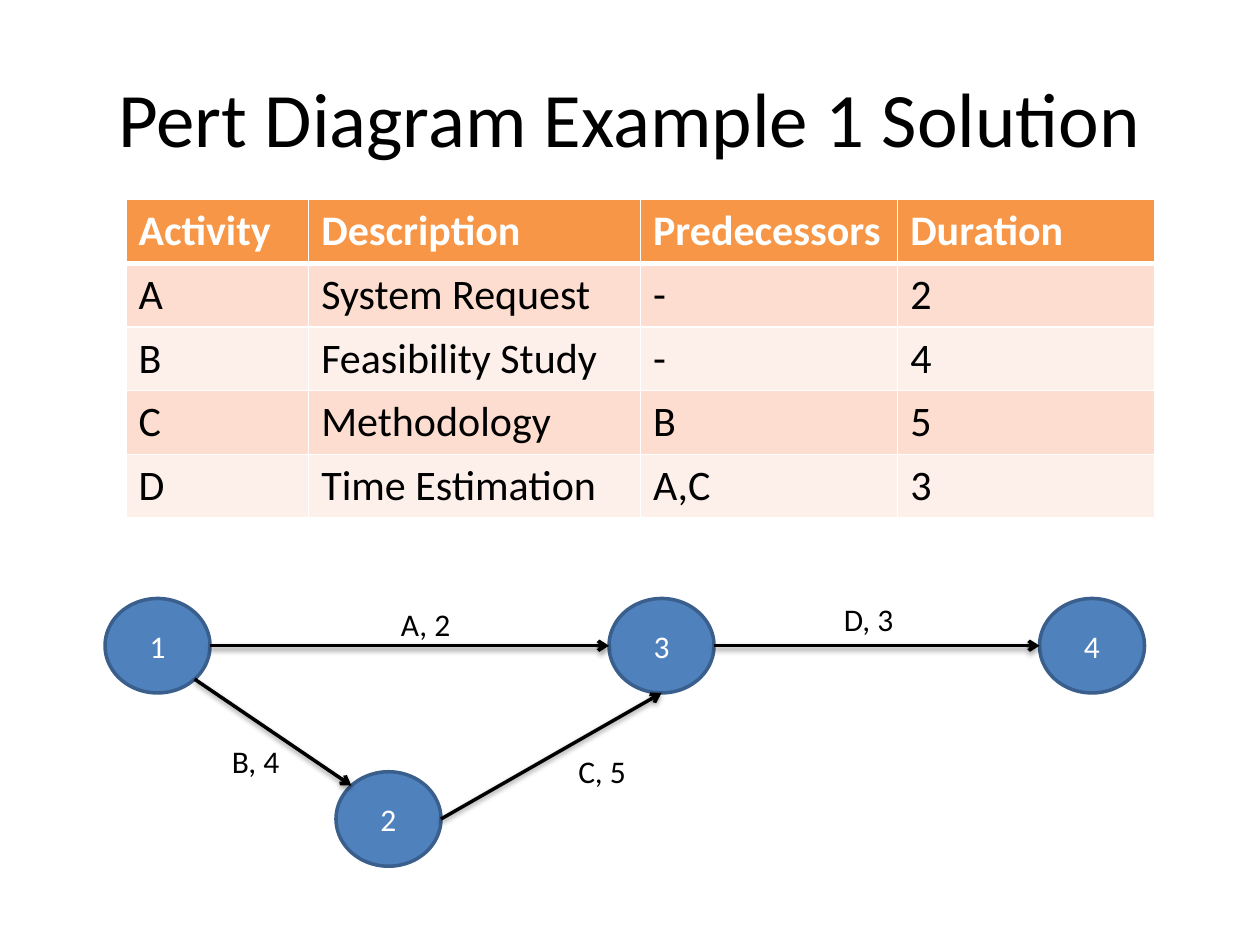
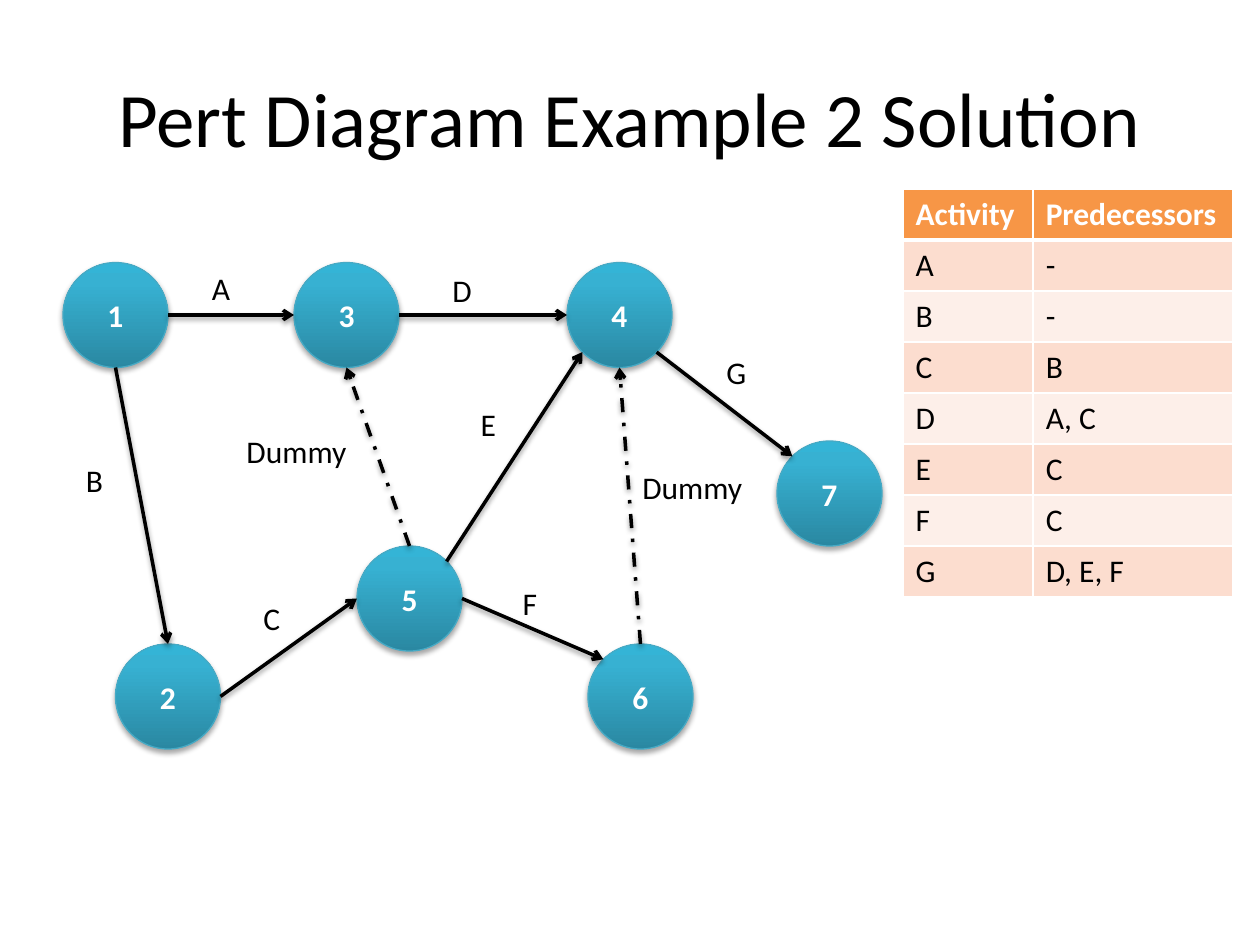
from dataclasses import dataclass
from enum import IntEnum
from math import cos, radians, sin

from lxml.etree import SubElement
from pptx import Presentation
from pptx.dml.color import RGBColor
from pptx.enum.dml import MSO_LINE
from pptx.enum.shapes import MSO_CONNECTOR, MSO_SHAPE
from pptx.enum.text import MSO_ANCHOR, MSO_AUTO_SIZE, PP_ALIGN
from pptx.oxml.ns import qn
from pptx.util import Inches, Pt


# Theme and grid
@dataclass(frozen=True)
class Theme:
    font: str = "Calibri"
    title_size: int = 44
    body_size: int = 18
    large_size: int = 24
    ink: str = "000000"
    paper: str = "FFFFFF"
    header: str = "F79646"
    bands: tuple = ("FCDDCF", "FDEFE9")
    blue: str = "4F81BD"
    blue_edge: str = "3A5F8C"
    teal_edge: str = "46AAC5"
    teal_stops: tuple = ((0, "2A88A2"), (80, "37B1D2"), (100, "34B4D6"))


THEME = Theme()
WIDTH, HEIGHT = Inches(10), Inches(7.5)
COLS, ROWS = 120, 90


def gx(cols: float) -> int:
    return round(WIDTH * cols / COLS)


def gy(rows: float) -> int:
    return round(HEIGHT * rows / ROWS)


# Diagram parts, placed in grid columns and rows
class Site(IntEnum):
    """Connection sites of an ellipse, counter-clockwise from the top."""
    TOP = 0
    TOP_LEFT = 1
    LEFT = 2
    BOTTOM_LEFT = 3
    BOTTOM = 4
    BOTTOM_RIGHT = 5
    RIGHT = 6
    TOP_RIGHT = 7


@dataclass(frozen=True)
class Event:
    number: int
    col: float
    row: float


@dataclass(frozen=True)
class Activity:
    start: int
    start_site: Site
    end: int
    end_site: Site
    name: str
    label_col: float
    label_row: float
    label_width: float
    dummy: bool = False


@dataclass(frozen=True)
class ActivityTable:
    col: float
    row: float
    widths: tuple
    row_height: float
    size: int
    rows: tuple


@dataclass(frozen=True)
class PertSlide:
    title: str
    table: ActivityTable
    event_height: float
    glossy: bool
    events: tuple
    activities: tuple


EVENT_WIDTH = 10
LABEL_HEIGHT = 4.8

EXAMPLE_1 = PertSlide(
    "Pert Diagram Example 1 Solution",
    ActivityTable(12, 19, (17.4, 31.6, 24.5, 24.5), 6.07, THEME.large_size, (
        ("Activity", "Description", "Predecessors", "Duration"),
        ("A", "System Request", "-", "2"),
        ("B", "Feasibility Study", "-", "4"),
        ("C", "Methodology", "B", "5"),
        ("D", "Time Estimation", "A,C", "3"))),
    9, False,
    (Event(1, 10, 57), Event(2, 32, 73.5), Event(3, 58, 57), Event(4, 99, 57)),
    (Activity(1, Site.RIGHT, 3, Site.LEFT, "A, 2", 37, 57, 7.2),
     Activity(1, Site.BOTTOM_RIGHT, 2, Site.TOP_LEFT, "B, 4", 20.9, 70.1, 7),
     Activity(2, Site.RIGHT, 3, Site.BOTTOM, "C, 5", 53.9, 71, 7),
     Activity(3, Site.RIGHT, 4, Site.LEFT, "D, 3", 79.2, 56.6, 7.2)))

EXAMPLE_2 = PertSlide(
    "Pert Diagram Example 2 Solution",
    ActivityTable(86, 18, (12.4, 19), 4.86, THEME.body_size, (
        ("Activity", "Predecessors"),
        ("A", "-"), ("B", "-"), ("C", "B"), ("D", "A, C"),
        ("E", "C"), ("F", "C"), ("G", "D, E, F"))),
    10, True,
    (Event(1, 6, 25), Event(2, 11, 61.33), Event(3, 28, 25), Event(4, 54, 25),
     Event(7, 74, 42), Event(5, 34, 52), Event(6, 56, 61.33)),
    (Activity(1, Site.RIGHT, 3, Site.LEFT, "A", 19, 25, 4.2),
     Activity(1, Site.BOTTOM, 2, Site.TOP, "B", 7, 43.3, 4.2),
     Activity(2, Site.RIGHT, 5, Site.LEFT, "C", 23.9, 56.5, 4.2),
     Activity(3, Site.RIGHT, 4, Site.LEFT, "D", 41.9, 25.2, 4.3),
     Activity(5, Site.TOP_RIGHT, 4, Site.BOTTOM_LEFT, "E", 44.6, 38, 3.8),
     Activity(5, Site.RIGHT, 6, Site.TOP_LEFT, "F", 48.6, 55, 3.8),
     Activity(6, Site.TOP, 4, Site.BOTTOM, "Dummy", 60, 44, 12, True),
     Activity(4, Site.BOTTOM_RIGHT, 7, Site.TOP_LEFT, "G", 68, 33, 4.3),
     Activity(5, Site.TOP, 3, Site.BOTTOM, "Dummy", 22.3, 40.6, 12, True)))


# Formatting helpers
def rgb(value: str) -> RGBColor:
    return RGBColor.from_string(value)


def write(tf, text: str, size: int, color: str, bold: bool = False, align=None) -> None:
    tf.text = text
    p = tf.paragraphs[0]
    p.alignment = align
    for r in p.runs:
        r.font.name, r.font.size, r.font.bold = THEME.font, Pt(size), bold
        r.font.color.rgb = rgb(color)


def add_color(parent, color: str):
    return SubElement(parent, qn("a:srgbClr"), val=color)


def add_shadow(effects, distance: float, opacity: int) -> None:
    shadow = SubElement(effects, qn("a:outerShdw"), blurRad=str(Pt(3.1)),
                        dist=str(Pt(distance)), dir="5400000", rotWithShape="0")
    SubElement(add_color(shadow, THEME.ink), qn("a:alpha"), val=str(opacity * 1000))


def fill_gradient(sp) -> None:
    sp.fill.gradient()
    sp.fill.gradient_angle = 90
    stops = sp._element.spPr.find(qn("a:gradFill")).find(qn("a:gsLst"))
    stops.clear()
    for share, color in THEME.teal_stops:
        add_color(SubElement(stops, qn("a:gs"), pos=str(share * 1000)), color)


def set_borders(cell, top: float, bottom: float) -> None:
    tc_pr = cell._tc.get_or_add_tcPr()
    sides = (("L", 1), ("R", 1), ("T", top), ("B", bottom))
    for i, (side, width) in enumerate(sides):
        ln = SubElement(tc_pr, qn(f"a:ln{side}"), w=str(Pt(width)))
        add_color(SubElement(ln, qn("a:solidFill")), THEME.paper)
        tc_pr.insert(i, ln)


# Drawing
def draw_title(slide, text: str) -> None:
    tf = slide.shapes.add_textbox(gx(6), gy(3.6), gx(108), gy(15)).text_frame
    tf.word_wrap = True
    tf.vertical_anchor = MSO_ANCHOR.MIDDLE
    write(tf, text, THEME.title_size, THEME.ink, align=PP_ALIGN.CENTER)


def draw_table(slide, spec_table: ActivityTable) -> None:
    t = spec_table
    table = slide.shapes.add_table(
        len(t.rows), len(t.widths), gx(t.col), gy(t.row),
        gx(sum(t.widths)), gy(t.row_height * len(t.rows))).table
    for column, width in zip(table.columns, t.widths):
        column.width = gx(width)
    for i, values in enumerate(t.rows):
        header = i == 0
        table.rows[i].height = gy(t.row_height)
        for j, value in enumerate(values):
            cell = table.cell(i, j)
            cell.fill.solid()
            cell.fill.fore_color.rgb = rgb(THEME.header if header else THEME.bands[(i - 1) % 2])
            set_borders(cell, 3 if i == 1 else 1, 3 if header else 1)
            write(cell.text_frame, value, t.size,
                  THEME.paper if header else THEME.ink, header)


def draw_event(slide, event: Event, height: float, glossy: bool):
    sp = slide.shapes.add_shape(MSO_SHAPE.OVAL, gx(event.col), gy(event.row),
                                gx(EVENT_WIDTH), gy(height))
    sp.shadow.inherit = False
    if glossy:
        fill_gradient(sp)
        add_shadow(sp._element.spPr.find(qn("a:effectLst")), 1.8, 35)
    else:
        sp.fill.solid()
        sp.fill.fore_color.rgb = rgb(THEME.blue)
    sp.line.color.rgb = rgb(THEME.teal_edge if glossy else THEME.blue_edge)
    sp.line.width = Pt(0.75 if glossy else 2)
    sp.text_frame.vertical_anchor = MSO_ANCHOR.MIDDLE
    write(sp.text_frame, str(event.number), THEME.body_size, THEME.paper,
          glossy, PP_ALIGN.CENTER)
    return sp


def site_point(sp, site: Site) -> tuple:
    angle = radians(45 * site)
    return (round(sp.left + sp.width / 2 * (1 - sin(angle))),
            round(sp.top + sp.height / 2 * (1 - cos(angle))))


def draw_arrow(slide, activity: Activity, events: dict) -> None:
    ends = ((events[activity.start], activity.start_site),
            (events[activity.end], activity.end_site))
    (x1, y1), (x2, y2) = (site_point(sp, site) for sp, site in ends)
    arrow = slide.shapes.add_connector(MSO_CONNECTOR.STRAIGHT, x1, y1, x2, y2)
    # An ellipse has eight sites, so the joins are written directly
    joins = arrow._element.nvCxnSpPr.cNvCxnSpPr
    for tag, (sp, site) in zip(("a:stCxn", "a:endCxn"), ends):
        SubElement(joins, qn(tag), id=str(sp.shape_id), idx=str(int(site)))
    arrow.line.color.rgb = rgb(THEME.ink)
    arrow.line.width = Pt(2)
    if activity.dummy:
        arrow.line.dash_style = MSO_LINE.DASH_DOT
    sp_pr = arrow._element.spPr
    SubElement(sp_pr.find(qn("a:ln")), qn("a:tailEnd"), type="arrow")
    add_shadow(SubElement(sp_pr, qn("a:effectLst")), 1.6, 38)


def draw_label(slide, activity: Activity) -> None:
    tf = slide.shapes.add_textbox(
        gx(activity.label_col), gy(activity.label_row),
        gx(activity.label_width), gy(LABEL_HEIGHT)).text_frame
    tf.word_wrap = False
    tf.auto_size = MSO_AUTO_SIZE.SHAPE_TO_FIT_TEXT
    write(tf, activity.name, THEME.body_size, THEME.ink)


def draw_slide(prs, content: PertSlide) -> None:
    slide = prs.slides.add_slide(prs.slide_layouts[6])
    draw_title(slide, content.title)
    draw_table(slide, content.table)
    events = {event.number: draw_event(slide, event, content.event_height, content.glossy)
              for event in content.events}
    for activity in content.activities:
        draw_arrow(slide, activity, events)
    for activity in content.activities:
        draw_label(slide, activity)


def main() -> None:
    prs = Presentation()
    prs.slide_width, prs.slide_height = WIDTH, HEIGHT
    for content in (EXAMPLE_1, EXAMPLE_2):
        draw_slide(prs, content)
    prs.save("out.pptx")


if __name__ == "__main__":
    main()
